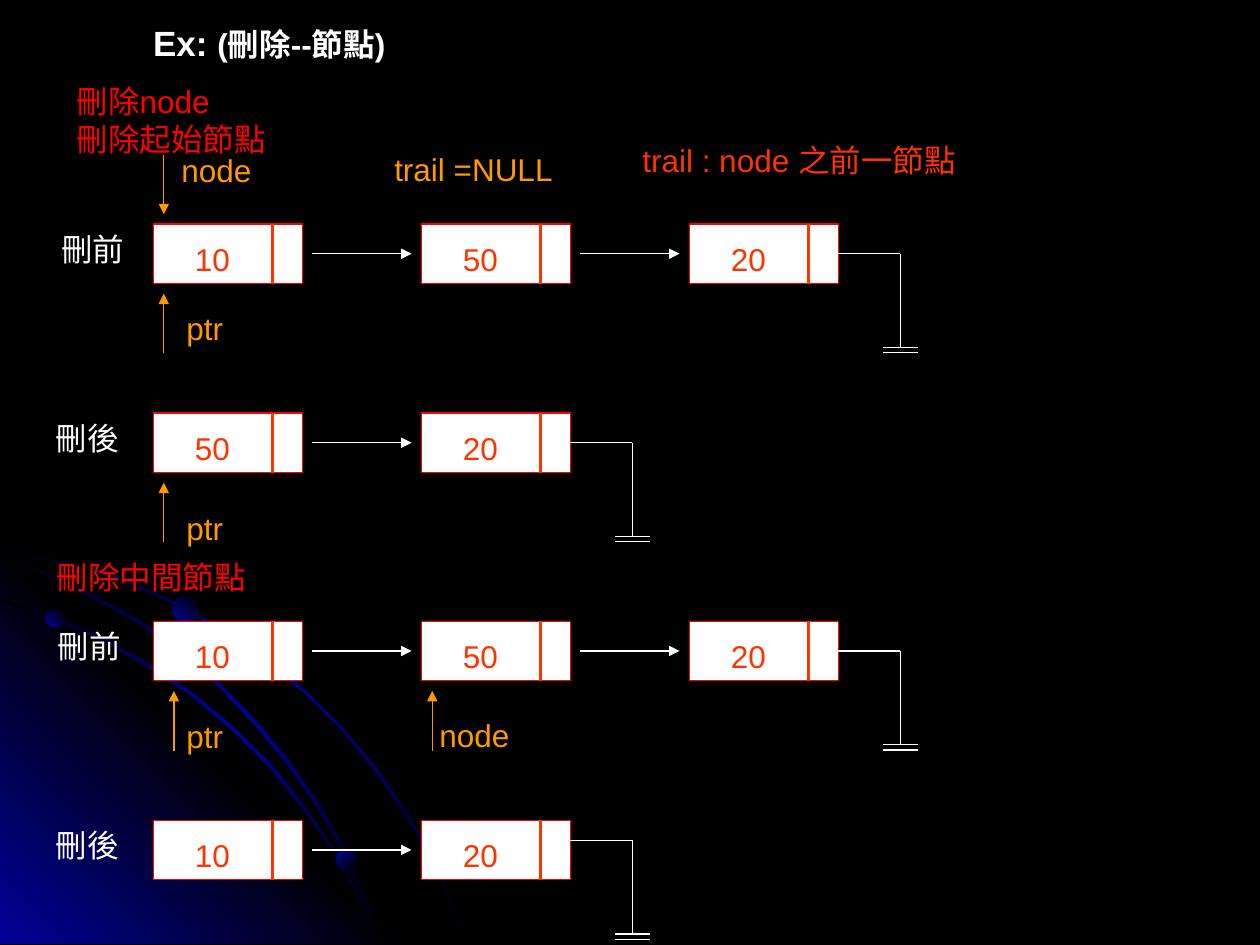
from lxml import etree
from pptx import Presentation
from pptx.dml.color import RGBColor
from pptx.enum import shapes, text
from pptx.oxml import ns
from pptx.util import Pt

# ---- Content ----
WHITE, RED, VERMILION, ORANGE = "FFFFFF", "FF0000", "FF3300", "FF9900"
BLACK, BLUE = "000000", "010199"
CENTER, LEFT = text.PP_ALIGN.CENTER, text.PP_ALIGN.LEFT

TITLE = [("Ex: ", 20), ("(刪除--節點) ", 18)]

# Linked lists: top, label, label left, node values, drop of the ground line
LISTS = [
    (128, "刪前", 25, [10, 50, 20], 17),
    (236, "刪後", 22, [50, 20], 17),
    (355, "刪前", 23, [10, 50, 20], 17),
    (468.7, "刪後", 22, [10, 20], 11.5),
]

# Captions: lines, colour, left, top, width, height
CAPTIONS = [
    (["刪除node", "刪除起始節點"], RED, 36.7, 43.2, 170, 51),
    (["刪除中間節點"], RED, 25.2, 315.4, 170, 29),
    (["trail : node 之前一節點"], VERMILION, 360, 77, 232.6, 29),
    (["trail =NULL"], ORANGE, 218.2, 82, 112, 29),
    (["node"], ORANGE, 96.5, 82.8, 60, 29),
    (["ptr"], ORANGE, 99.4, 172.8, 40, 29),
    (["ptr"], ORANGE, 99.4, 287.3, 40, 29),
    (["ptr"], ORANGE, 99.4, 406, 40, 29),
    (["node"], ORANGE, 244, 405.4, 60, 29),
]

# Pointer arrows: x, start y, end y
POINTERS = [(93.6, 88.5, 122.5)] + [
    (x, top + 74, top + 39.8)
    for x, top in [(93.6, 128), (93.6, 236), (99.4, 355), (247, 355)]
]

# Backdrop outlines, in steps of 0.72 pt
OUTLINE_STEP = Pt(0.72)
STRAND = [(0, BLACK), (50, BLUE), (100, BLACK)]
OUTLINES = [
    ([(57, 447), (28, 441), (0, 435), (0, 438), (28, 443), (56, 449), (97, 461),
      (135, 478), (173, 499), (208, 523), (241, 549), (271, 579), (298, 612),
      (323, 649), (337, 673), (350, 698), (360, 723), (370, 749), (372, 749),
      (362, 723), (352, 698), (339, 673), (325, 648), (300, 611), (272, 578),
      (242, 548), (209, 521), (174, 497), (136, 477), (98, 459)], STRAND, 45),
    ([(322, 749), (0, 749), (0, 427)],
     [(0, BLUE), (50, BLACK), (100, BLUE)], 315),
    ([(285, 714), (294, 732), (301, 749), (303, 749), (296, 730), (286, 712),
      (266, 676), (242, 640), (215, 606), (184, 576), (152, 549), (117, 526),
      (79, 505), (41, 488), (0, 475), (0, 477), (39, 490), (77, 507), (115, 528),
      (150, 551), (183, 578), (213, 608), (240, 641), (265, 677)], STRAND, 45),
    ([(0, 442), (0, 444), (36, 457), (74, 475), (109, 494), (142, 518), (173, 544),
      (202, 575), (227, 605), (252, 641), (267, 667), (280, 694), (292, 722),
      (301, 749), (303, 749), (294, 720), (282, 693), (269, 665), (254, 639),
      (229, 603), (204, 573), (175, 543), (144, 516), (111, 493), (76, 473),
      (39, 455)], STRAND, 45),
]
# Beads: left, top, diameter, gradient angle
BEADS = [(26, 347.8, 10.8, 315), (192.2, 485.3, 11.5, 45), (98.6, 340.6, 15.1, 315)]

# ---- Layout rules ----
FIRST_LEFT, PITCH = 87.8, 153.1
NODE_W, NODE_H, DIVIDER = 85, 34, 68
ARROW_GAP = 5.7
GROUND_RUN, GROUND_DROP, BAR_HALF, BAR_GAP = 35.5, 53.5, 10, 3.1

prs = Presentation()
prs.slide_width, prs.slide_height = Pt(720), Pt(540)
slide = prs.slides.add_slide(prs.slide_layouts[5])


def color(code):
    return RGBColor.from_string(code)


def style_frame(frame, **changes):
    values = {"word_wrap": True, "auto_size": text.MSO_AUTO_SIZE.NONE,
              "vertical_anchor": text.MSO_ANCHOR.TOP, **changes}
    for name, value in values.items():
        setattr(frame, name, value)


def add_run(paragraph, words, size, code, bold=False):
    run = paragraph.add_run()
    run.text = words
    for name, value in {"name": "Arial", "size": Pt(size), "bold": bold}.items():
        setattr(run.font, name, value)
    run.font.color.rgb = color(code)


def add_text(lines, code, left, top, width, height, align=LEFT):
    frame = slide.shapes.add_textbox(Pt(left), Pt(top), Pt(width), Pt(height)).text_frame
    style_frame(frame)
    for i, words in enumerate(lines):
        paragraph = frame.paragraphs[0] if i == 0 else frame.add_paragraph()
        paragraph.alignment = align
        add_run(paragraph, words, 18, code)


def add_line(x1, y1, x2, y2, code=WHITE, width=0.75, arrow=False):
    line = slide.shapes.add_connector(
        shapes.MSO_CONNECTOR.STRAIGHT, Pt(x1), Pt(y1), Pt(x2), Pt(y2))
    line.line.color.rgb = color(code)
    line.line.width = Pt(width)
    if arrow:
        etree.SubElement(line.line._get_or_add_ln(), ns.qn("a:tailEnd"), type="triangle")
    etree.SubElement(line._element.spPr, ns.qn("a:effectLst"))
    return line


def fill_gradient(shape, stops, angle):
    shape.shadow.inherit = False
    shape.line.fill.background()
    shape.fill.gradient()
    grad = shape._element.spPr.find(ns.qn("a:gradFill"))
    for child in list(grad):
        grad.remove(child)
    stop_list = etree.SubElement(grad, ns.qn("a:gsLst"))
    for position, code in stops:
        stop = etree.SubElement(stop_list, ns.qn("a:gs"), pos=str(position * 1000))
        etree.SubElement(stop, ns.qn("a:srgbClr"), val=code)
    etree.SubElement(grad, ns.qn("a:lin"), ang=str(angle * 60000), scaled="0")


def add_node(left, top, value):
    node = slide.shapes.add_shape(
        shapes.MSO_SHAPE.RECTANGLE, Pt(left), Pt(top), Pt(NODE_W), Pt(NODE_H))
    node.shadow.inherit = False
    node.fill.solid()
    node.fill.fore_color.rgb = color(WHITE)
    node.line.color.rgb = color(RED)
    node.line.width = Pt(0.75)
    add_line(left + DIVIDER, top, left + DIVIDER, top + NODE_H, VERMILION, 1.5)
    add_text([str(value)], VERMILION, left + 11.6, top + 5.5, 44, 29, CENTER)
    return node


def add_ground(node, right, y, joined):
    x, bottom = right + GROUND_RUN, y + GROUND_DROP
    lead = add_line(right, y, x, y)
    if joined:
        lead.begin_connect(node, 3)
    add_line(x, y, x, bottom)
    for bar_y in (bottom, bottom + BAR_GAP):
        add_line(x - BAR_HALF, bar_y, x + BAR_HALF, bar_y)


# ---- Backdrop ----
slide.background.fill.solid()
slide.background.fill.fore_color.rgb = color(BLACK)
for points, stops, angle in OUTLINES:
    builder = slide.shapes.build_freeform(*points[0], scale=OUTLINE_STEP)
    builder.add_line_segments(points[1:], close=True)
    fill_gradient(builder.convert_to_shape(), stops, angle)
for left, top, size, angle in BEADS:
    bead = slide.shapes.add_shape(
        shapes.MSO_SHAPE.OVAL, Pt(left), Pt(top), Pt(size), Pt(size))
    fill_gradient(bead, [(0, BLUE), (100, BLACK)], angle)

# ---- Title ----
title = slide.shapes.title
title.left, title.top, title.width, title.height = Pt(77.8), Pt(8.6), Pt(152), Pt(31)
style_frame(title.text_frame)
heading = title.text_frame.paragraphs[0]
heading.alignment = CENTER
for words, size in TITLE:
    add_run(heading, words, size, WHITE, bold=True)

# ---- Linked lists ----
for top, label, label_left, values, ground_dy in LISTS:
    add_text([label], WHITE, label_left, top, 56, 29, CENTER)
    middle = top + NODE_H / 2
    for i, value in enumerate(values):
        left = FIRST_LEFT + i * PITCH
        node = add_node(left, top, value)
        if i:
            add_line(left - PITCH + NODE_W + ARROW_GAP, middle,
                     left - ARROW_GAP, middle, arrow=True)
    add_ground(node, left + NODE_W, top + ground_dy, ground_dy == NODE_H / 2)

# ---- Captions and pointers ----
for caption in CAPTIONS:
    add_text(*caption)
for x, start, end in POINTERS:
    add_line(x, start, x, end, ORANGE, arrow=True)

prs.save("out.pptx")
